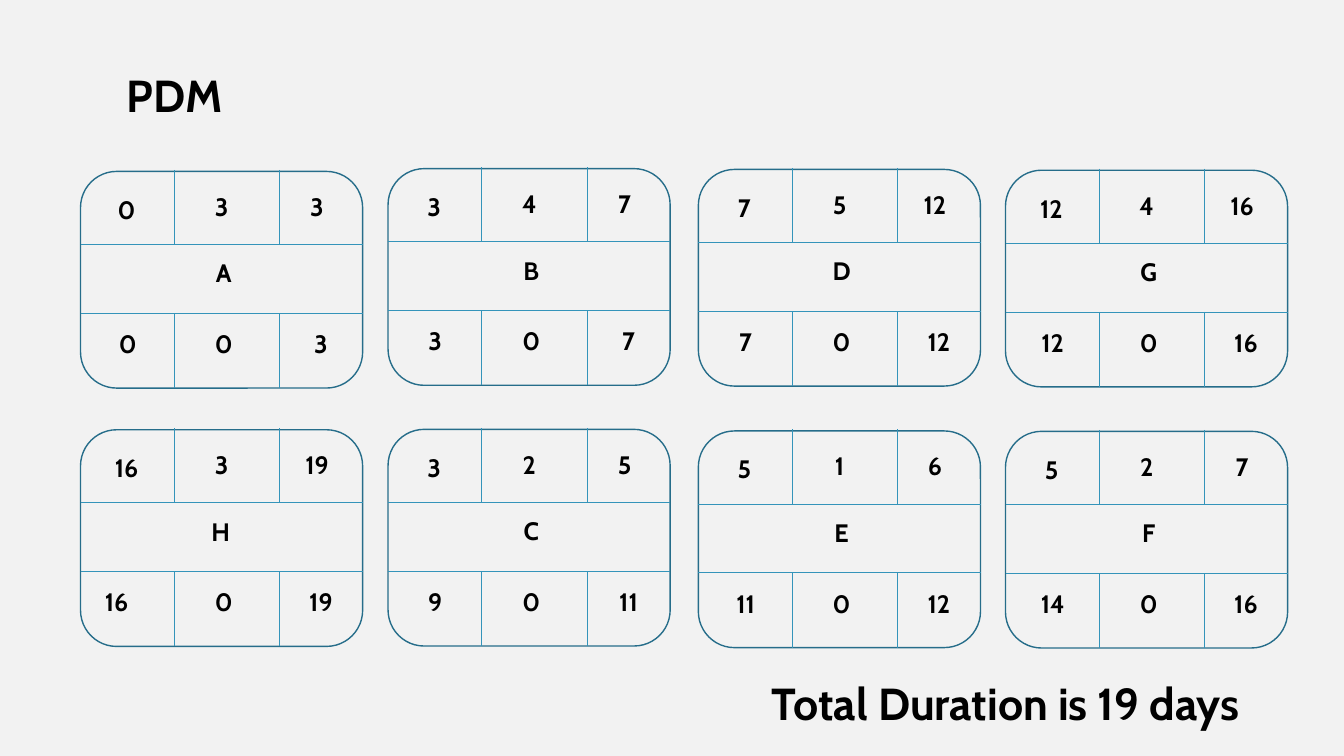
"""Build the PDM slide: eight activity nodes and the total duration."""
from dataclasses import dataclass

import pptx
import pptx.dml.color
import pptx.enum.shapes
import pptx.enum.text
import pptx.oxml
import pptx.oxml.ns
import pptx.util

Cm = pptx.util.Cm


@dataclass(frozen=True)
class Theme:
    """Colours, font and sizes in points."""
    background: str = "F2F2F2"
    text: str = "000000"
    outline: str = "266D8A"
    divider: str = "3494BA"
    font: str = "Cabin"
    heading_size: int = 32
    value_size: int = 18
    outline_width: float = 1
    divider_width: float = 0.5


def rgb(code):
    """Turn a hex code into a colour."""
    return pptx.dml.color.RGBColor.from_string(code)


class Painter:
    """Holds the theme and the current slide; lengths are centimetres."""

    def __init__(self, page, theme):
        """Set the page and its background."""
        self.page, self.theme = page, theme
        page.background.fill.solid()
        page.background.fill.fore_color.rgb = rgb(theme.background)

    def text(self, left, top, width, height, words, size):
        """Add one centred bold line of text."""
        box = self.page.shapes.add_textbox(Cm(left), Cm(top), Cm(width), Cm(height))
        frame = box.text_frame
        frame.word_wrap = True
        frame.auto_size = pptx.enum.text.MSO_AUTO_SIZE.SHAPE_TO_FIT_TEXT
        para = frame.paragraphs[0]
        para.text = words
        para.alignment = pptx.enum.text.PP_ALIGN.CENTER
        para.font.name = self.theme.font
        para.font.size = pptx.util.Pt(size)
        para.font.bold = True
        para.font.color.rgb = rgb(self.theme.text)

    def rounded_outline(self, left, top, width, height):
        """Add an unfilled rounded rectangle."""
        shape = self.page.shapes.add_shape(
            pptx.enum.shapes.MSO_SHAPE.ROUNDED_RECTANGLE,
            Cm(left), Cm(top), Cm(width), Cm(height))
        shape.shadow.inherit = False
        shape.fill.background()
        shape.line.color.rgb = rgb(self.theme.outline)
        shape.line.width = pptx.util.Pt(self.theme.outline_width)

    def divider(self, start_x, start_y, end_x, end_y):
        """Add a thin straight line."""
        line = self.page.shapes.add_connector(
            pptx.enum.shapes.MSO_CONNECTOR.STRAIGHT,
            Cm(start_x), Cm(start_y), Cm(end_x), Cm(end_y))
        line.line.color.rgb = rgb(self.theme.divider)
        line.line.width = pptx.util.Pt(self.theme.divider_width)
        properties = line._element.spPr
        properties.append(pptx.oxml.parse_xml(
            "<a:effectLst %s/>" % pptx.oxml.ns.nsdecls("a")))

    def node(self, left, top, values):
        """Add one activity: outline, dividers and its seven values."""
        self.rounded_outline(left, top, NODE_WIDTH, NODE_HEIGHT)
        for row in ROW_LINES:
            self.divider(left, top + row, left + NODE_WIDTH, top + row)
        for column in COLUMN_LINES:
            x = left + column
            self.divider(x, top - 0.04, x, top + ROW_LINES[0])
            self.divider(x, top + ROW_LINES[1], x, top + NODE_HEIGHT)
        name = values[SLOTS.index("name")]
        for slot, value in zip(SLOTS, values):
            x, y = SLOTS_AT[slot]
            x += NUDGES.get((name, slot), 0)
            self.text(left + x, top + y, 1.68, 1.02, value, self.theme.value_size)


NODE_WIDTH, NODE_HEIGHT = 7.11, 5.46
ROW_LINES = (1.84, 3.57)
COLUMN_LINES = (2.36, 5.01)
SLOTS_AT = {
    "early start": (0.32, 0.45), "duration": (2.72, 0.37), "early finish": (5.12, 0.37),
    "name": (2.77, 2.05),
    "late start": (0.35, 3.83), "float": (2.77, 3.83), "late finish": (5.22, 3.83),
}
SLOTS = list(SLOTS_AT)
NUDGES = {("H", "name"): -0.08, ("H", "late start"): -0.28}

COLUMN_LEFTS = (2.03, 9.78, 17.6, 25.34)
# Each row: the tops of its nodes, then their values in slot order.
ROWS = (
    ((4.32, 4.25, 4.27, 4.29),
     ("0 3 3 A 0 0 3", "3 4 7 B 3 0 7", "7 5 12 D 7 0 12", "12 4 16 G 12 0 16")),
    ((10.83, 10.82, 10.86, 10.87),
     ("16 3 19 H 16 0 19", "3 2 5 C 9 0 11", "5 1 6 E 11 0 12", "5 2 7 F 14 0 16")),
)


def main():
    """Build and save the deck."""
    deck = pptx.Presentation()
    deck.slide_width, deck.slide_height = Cm(33.87), Cm(19.05)
    theme = Theme()
    painter = Painter(deck.slides.add_slide(deck.slide_layouts[6]), theme)
    for tops, activities in ROWS:
        for left, top, activity in zip(COLUMN_LEFTS, tops, activities):
            painter.node(left, top, activity.split())
    painter.text(0, 1.57, 8.79, 1.62, "PDM", theme.heading_size)
    painter.text(17.3, 16.89, 16.1, 1.62, "Total Duration is 19 days", theme.heading_size)
    deck.save("out.pptx")


main()
